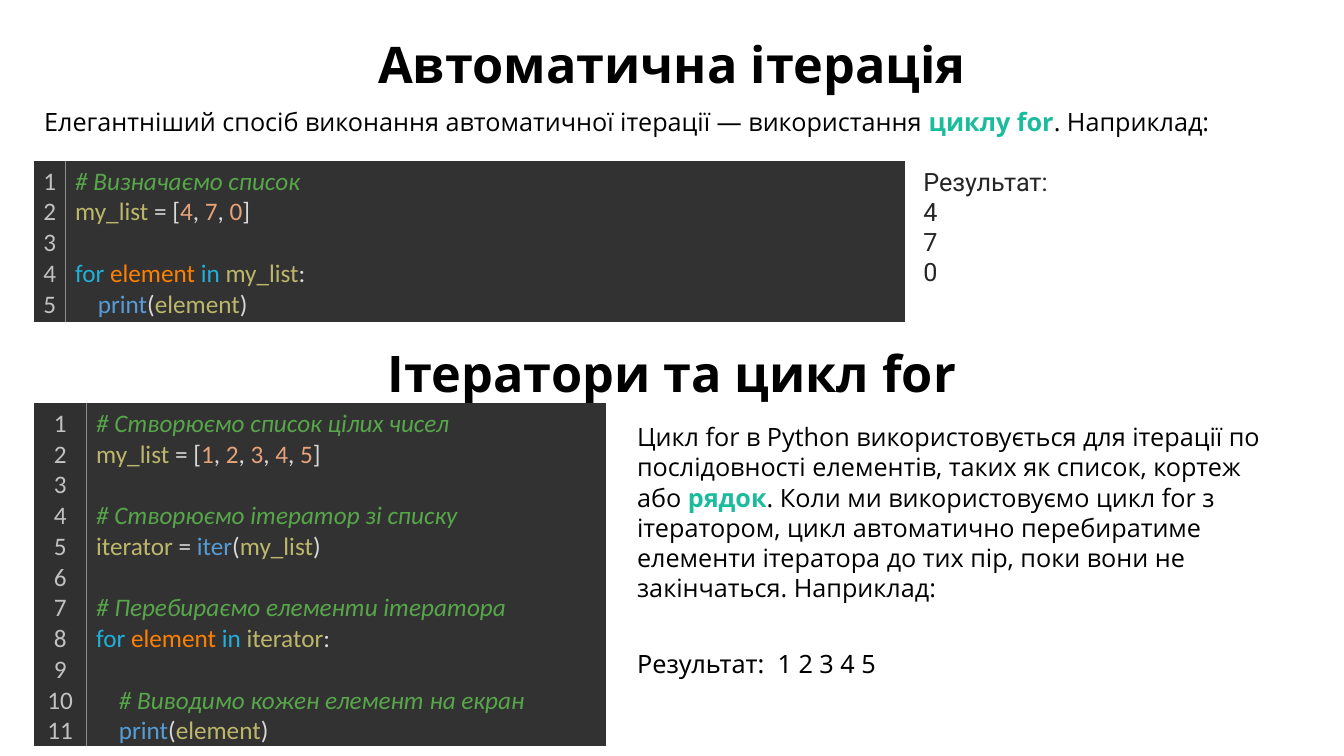
from itertools import groupby

from lxml.etree import SubElement
from pptx import Presentation
from pptx.dml.color import RGBColor as RGB
from pptx.enum.text import PP_ALIGN as ALIGN
from pptx.oxml.ns import qn
from pptx.util import Pt

BLACK, ACCENT, RESULT = RGB(0, 0, 0), RGB(0x1A, 0xBC, 0x9C), RGB(0x25, 0x25, 0x25)
GUTTER, CODE_FILL = RGB(0x30, 0x30, 0x30), RGB(0x32, 0x32, 0x32)
LINE_NUMBER, RULE = RGB(0xC2, 0xC2, 0xC2), "8C8D8F"
COMMENT, KEYWORD = RGB(0x57, 0xA6, 0x4A), RGB(0x20, 0xB0, 0xDA)
BUILTIN, LOOP_VARIABLE = RGB(0x56, 0x9C, 0xD6), RGB(0xFF, 0x80, 0x00)
NAME, NUMBER = RGB(0xBD, 0xB7, 0x6B), RGB(0xE7, 0xA3, 0x7A)
OPERATOR, BRACKET = RGB(0xDA, 0xDA, 0xDA), RGB(0xD8, 0xD8, 0xD8)

SLIDE_WIDTH, SLIDE_HEIGHT = 960, 540
LEFT, TEXT_SIZE, TITLE_SIZE = 24.5, 18, 36
BODY_FONT, CODE_FONT = "Open Sans", "Calibri"
WORD_COLORS = {"for": KEYWORD, "in": KEYWORD, "print": BUILTIN, "iter": BUILTIN}
INDENT = "\u00a0" * 4

TITLES = [("Автоматична ітерація", 20), ("Ітератори та цикл for", 240.5)]
# Marked text lists alternate between plain and accented parts.
INTRO = ["Елегантніший спосіб виконання автоматичної ітерації — використання\u00a0",
         "циклу for", ". Наприклад:"]
EXPLANATION = [
    "Цикл for в Python використовується для ітерації по послідовності елементів, "
    "таких як список, кортеж або\u00a0", "рядок",
    ". Коли ми використовуємо цикл for з ітератором, цикл автоматично "
    "перебиратиме елементи ітератора до тих пір, поки вони не закінчаться. Наприклад:"]
FIRST_RESULT = ["Результат: ", "4 ", "7 ", "0"]
SECOND_RESULT = ["Результат:  1 2 3 4 5"]

LIST_CODE = [
    "# Визначаємо список",
    "my_list = [4, 7, 0]",
    "",
    "for element in my_list:",
    INDENT + "print(element)",
]
ITERATOR_CODE = [
    "# Створюємо список цілих чисел",
    "my_list = [1, 2, 3, 4, 5]",
    "",
    "# Створюємо ітератор зі списку",
    "iterator = iter(my_list)",
    "",
    "# Перебираємо елементи ітератора",
    "for element in iterator:",
    "",
    INDENT + "# Виводимо кожен елемент на екран",
    INDENT + "print(element)",
]


def style(paragraph, font_name, color=BLACK, size=TEXT_SIZE, align=ALIGN.LEFT):
    """Set the shared font and alignment of a paragraph."""
    paragraph.alignment = align
    font = paragraph.font
    font.name, font.size, font.color.rgb = font_name, Pt(size), color


def add_run(paragraph, text, color):
    """Append a coloured run and return its font."""
    run = paragraph.add_run()
    run.text = text
    run.font.color.rgb = color
    return run.font


def paragraphs_for(frame, count):
    """Return the given number of paragraphs of an empty text frame."""
    return [frame.paragraphs[0]] + [frame.add_paragraph() for _ in range(count - 1)]


def add_lines(slide, lines, left, top, width, height, font_name, **options):
    """Add a text box with one paragraph for each line."""
    frame = slide.shapes.add_textbox(Pt(left), Pt(top), Pt(width), Pt(height)).text_frame
    frame.word_wrap = True
    for paragraph, line in zip(paragraphs_for(frame, len(lines)), lines):
        paragraph.text = line
        style(paragraph, font_name, **options)


def add_marked_text(slide, parts, left, top, width, height):
    """Add one paragraph whose every second part is bold and accented."""
    frame = slide.shapes.add_textbox(Pt(left), Pt(top), Pt(width), Pt(height)).text_frame
    frame.word_wrap = True
    paragraph = frame.paragraphs[0]
    style(paragraph, BODY_FONT)
    for index, part in enumerate(parts):
        marked = index % 2 == 1
        add_run(paragraph, part, ACCENT if marked else BLACK).bold = marked


def is_word_character(character):
    """Tell whether a character belongs to a name, keyword or number."""
    return character.isalnum() or character == "_"


def highlight(paragraph, line):
    """Write a line of code with syntax colours."""
    if line.strip().startswith("#"):
        add_run(paragraph, line, COMMENT).italic = True
        return
    for is_word, characters in groupby(line or "\u00a0", is_word_character):
        token = "".join(characters)
        if not is_word:
            color = OPERATOR if token == ":" else BRACKET
        elif token.isdigit():
            color = NUMBER
        elif token == "element" and line.startswith("for"):
            color = LOOP_VARIABLE
        else:
            color = WORD_COLORS.get(token, NAME)
        add_run(paragraph, token, color)


def format_cell(cell, fill, ruled_side):
    """Fill a cell and leave a thin rule on one side only."""
    properties = cell._tc.get_or_add_tcPr()
    for side in ("lnL", "lnR", "lnT", "lnB"):
        line = SubElement(properties, qn("a:" + side), w=str(Pt(0.6)))
        if side == ruled_side:
            solid = SubElement(line, qn("a:solidFill"))
            SubElement(solid, qn("a:srgbClr"), val=RULE)
        else:
            SubElement(line, qn("a:noFill"))
    cell.fill.solid()
    cell.fill.fore_color.rgb = fill


def add_code(slide, lines, top, height, column_widths):
    """Add a code listing with a line-number column."""
    table = slide.shapes.add_table(1, 2, Pt(LEFT), Pt(top),
                                   Pt(sum(column_widths)), Pt(height)).table
    table.first_row = table.horz_banding = False
    for column, width in zip(table.columns, column_widths):
        column.width = Pt(width)
    numbers, code = table.cell(0, 0), table.cell(0, 1)
    numbers.margin_left = numbers.margin_right = Pt(0)
    format_cell(numbers, GUTTER, "lnR")
    format_cell(code, CODE_FILL, "lnL")
    for number, paragraph in enumerate(paragraphs_for(numbers.text_frame, len(lines)), 1):
        paragraph.text = str(number)
        style(paragraph, CODE_FONT, LINE_NUMBER, align=ALIGN.CENTER)
    for paragraph, line in zip(paragraphs_for(code.text_frame, len(lines)), lines):
        style(paragraph, CODE_FONT, BRACKET)
        highlight(paragraph, line)


presentation = Presentation()
presentation.slide_width, presentation.slide_height = Pt(SLIDE_WIDTH), Pt(SLIDE_HEIGHT)
slide = presentation.slides.add_slide(presentation.slide_layouts[6])

for title, top in TITLES:
    add_lines(slide, [title], 0, top, SLIDE_WIDTH, 56, BODY_FONT,
              size=TITLE_SIZE, align=ALIGN.CENTER)
    slide.shapes[-1].text_frame.paragraphs[0].font.bold = True
add_marked_text(slide, INTRO, LEFT, 72.7, 903, 32)
add_code(slide, LIST_CODE, 115, 115, (22, 600))
add_lines(slide, FIRST_RESULT, 652.5, 115, 280, 94, "Roboto", color=RESULT)
add_marked_text(slide, EXPLANATION, 448, 297.5, 480, 138)
add_code(slide, ITERATOR_CODE, 288, 245, (37, 371.5))
add_lines(slide, SECOND_RESULT, 448, 459.5, 480, 29, "Noto Sans")

presentation.save("out.pptx")
